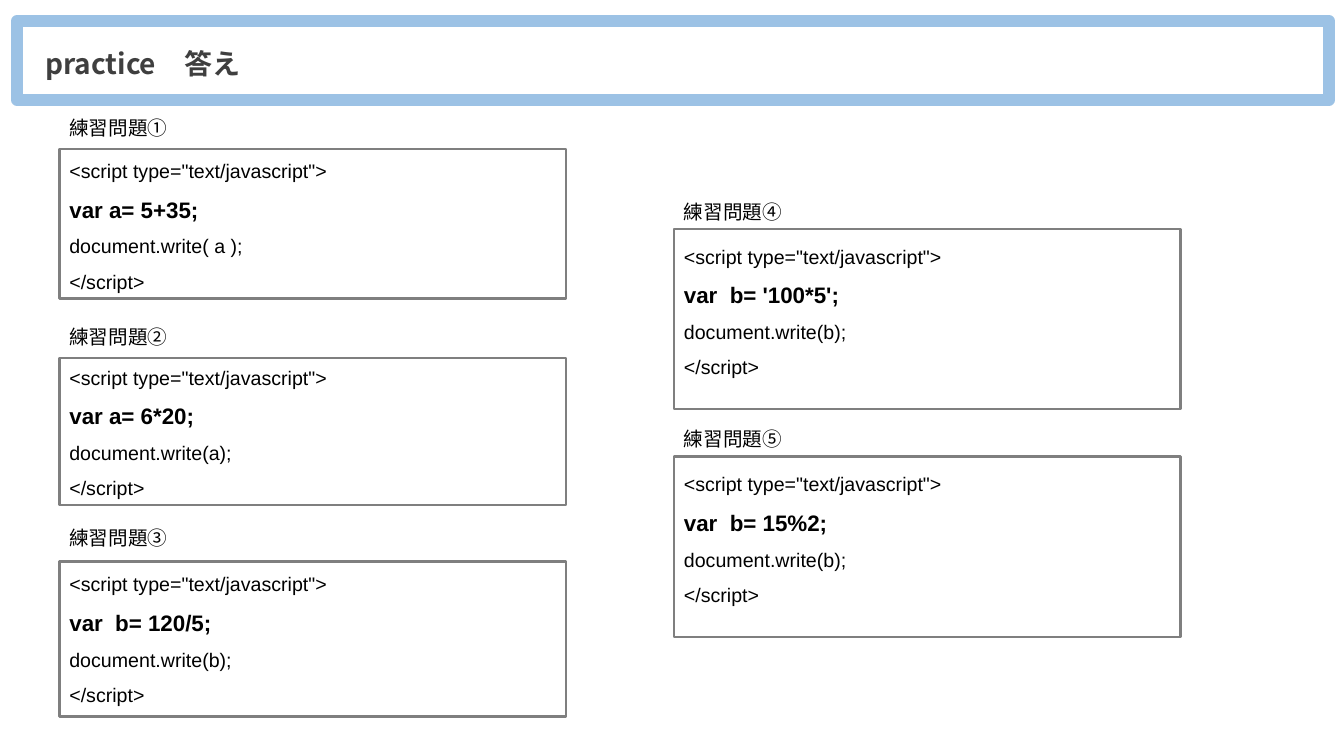
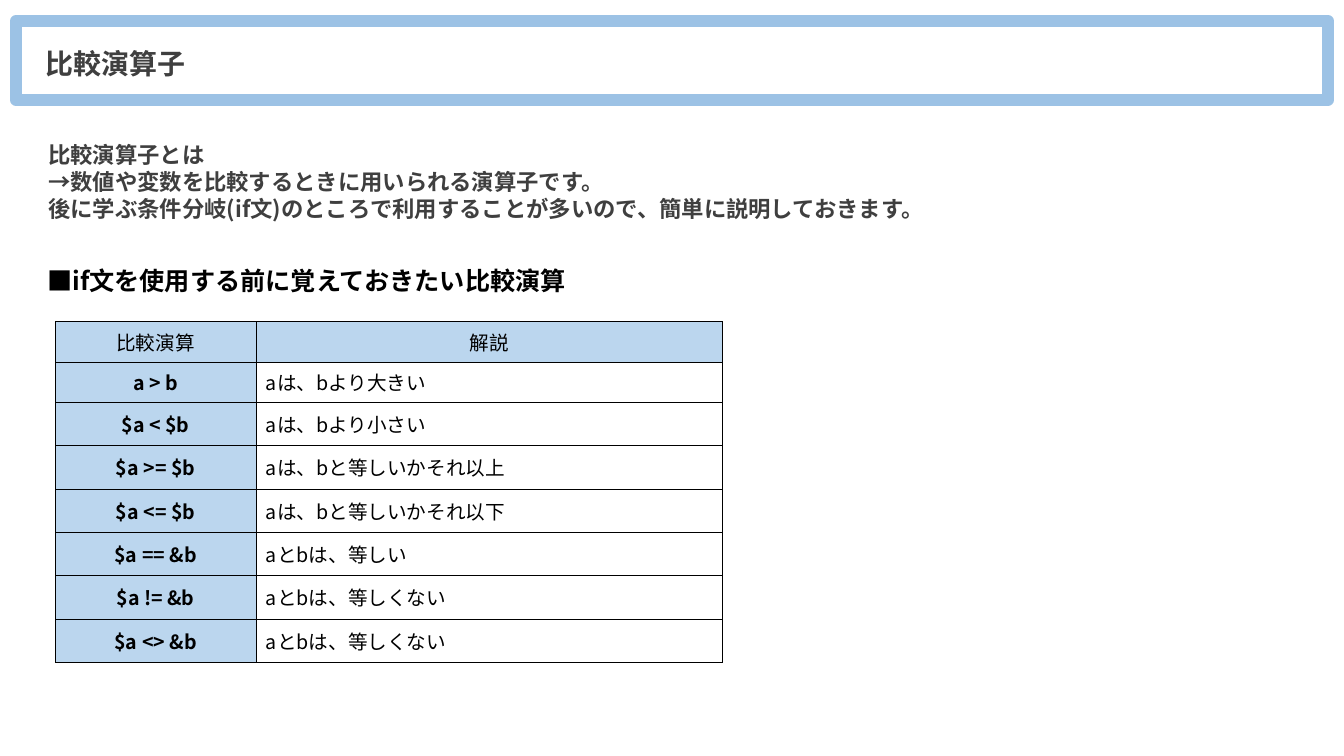
import pptx
import pptx.dml.color
import pptx.enum.shapes
import pptx.enum.text
import pptx.oxml.ns
import pptx.util
from dataclasses import dataclass
from lxml import etree

ALIGN = pptx.enum.text.PP_ALIGN
ANCHOR = pptx.enum.text.MSO_ANCHOR
FIT = pptx.enum.text.MSO_AUTO_SIZE
qn = pptx.oxml.ns.qn


@dataclass(frozen=True)
class Theme:
    ink: str = "000000"
    heading_ink: str = "3F3F3F"
    paper: str = "FFFFFF"
    band: str = "9CC2E5"
    code_frame: str = "7F7F7F"
    table_key: str = "BBD6EE"
    body_font: str = "Noto Sans CJK JP"
    code_font: str = "Arial"
    title_size: int = 20
    subhead_size: int = 18
    strong_size: int = 16
    text_size: int = 14
    band_width: float = 8.75
    frame_width: float = 1.75
    grid_width: float = 0.45


def px(length):
    """100 px to the inch."""
    return pptx.util.Emu(length * 9144)


def rgb(colour):
    return pptx.dml.color.RGBColor.from_string(colour)


class Deck:
    def __init__(self, theme):
        self.theme = theme
        self.prs = pptx.Presentation()
        self.prs.slide_width, self.prs.slide_height = px(1334), px(750)
        self.slide = None

    # Text helpers
    def run(self, paragraph, text, size, colour=None, bold=False, font=None):
        run = paragraph.add_run()
        run.text = text
        run.font.size = pptx.util.Pt(size)
        run.font.bold = bold
        run.font.color.rgb = rgb(colour or self.theme.ink)
        run.font.name = font or self.theme.body_font
        east_asian = etree.SubElement(run.font._element, qn("a:ea"))
        east_asian.set("typeface", run.font.name)

    def paragraphs(self, frame, lines, spacing=None, align=ALIGN.LEFT):
        """Each line is (text, size) plus optional run settings in a dict."""
        for index, (text, size, style) in enumerate(lines):
            paragraph = frame.add_paragraph() if index else frame.paragraphs[0]
            paragraph.alignment = align
            if spacing:
                paragraph.line_spacing = spacing
            self.run(paragraph, text, size, **style)

    # Elements
    def new_slide(self, title, band_left):
        theme = self.theme
        self.slide = self.prs.slides.add_slide(self.prs.slide_layouts[5])
        heading = self.slide.shapes.title
        heading.left, heading.top = px(35), px(34)
        heading.width, heading.height = px(1264), px(57)
        heading.fill.solid()
        heading.fill.fore_color.rgb = rgb(theme.paper)
        heading.text_frame.auto_size = FIT.NONE
        heading.text_frame.vertical_anchor = ANCHOR.MIDDLE
        self.paragraphs(heading.text_frame, [
            (title, theme.title_size, {"colour": theme.heading_ink, "bold": True})])
        self.outline(band_left, 21, 1302, 78, theme.band, theme.band_width)

    def outline(self, left, top, width, height, colour, weight):
        box = self.slide.shapes.add_shape(
            pptx.enum.shapes.MSO_SHAPE.RECTANGLE,
            px(left), px(top), px(width), px(height))
        box.shadow.inherit = False
        box.fill.background()
        box.line.color.rgb = rgb(colour)
        box.line.width = pptx.util.Pt(weight)

    def text(self, left, top, width, height, lines, spacing=None, grow=True):
        frame = self.slide.shapes.add_textbox(
            px(left), px(top), px(width), px(height)).text_frame
        frame.word_wrap = True
        frame.auto_size = FIT.SHAPE_TO_FIT_TEXT if grow else FIT.NONE
        frame.vertical_anchor = ANCHOR.TOP if grow else ANCHOR.MIDDLE
        self.paragraphs(frame, lines, spacing)

    def exercise(self, label, statement, output, left, label_top, code_top,
                 frame_top, frame_height):
        theme = self.theme
        plain = {"font": theme.code_font}
        code = [
            ('<script type="text/javascript">', theme.text_size, plain),
            (statement, theme.strong_size, {**plain, "bold": True}),
            (output, theme.text_size, plain),
            ("</script>", theme.text_size, plain),
        ]
        self.outline(left, frame_top, 503, frame_height,
                     theme.code_frame, theme.frame_width)
        self.text(left, label_top, 138, 34, [(label, theme.text_size, {})])
        self.text(left, code_top, 404, 155, code, spacing=1.5)

    def table(self, left, top, widths, heights, rows):
        table = self.slide.shapes.add_table(
            len(rows), len(widths), px(left), px(top),
            px(sum(widths)), px(sum(heights))).table
        table.first_row = table.horz_banding = False
        for column, width in zip(table.columns, widths):
            column.width = px(width)
        for row, height in zip(table.rows, heights):
            row.height = px(height)
        for r, row in enumerate(rows):
            for c, text in enumerate(row):
                is_key = r == 0 or c == 0
                self.cell(table.cell(r, c), text, is_key, bold=r > 0 and c == 0)

    def cell(self, cell, text, is_key, bold):
        theme = self.theme
        cell.vertical_anchor = ANCHOR.MIDDLE
        cell.fill.solid()
        cell.fill.fore_color.rgb = rgb(theme.table_key if is_key else theme.paper)
        self.paragraphs(cell.text_frame, [(text, theme.text_size, {"bold": bold})],
                        align=ALIGN.CENTER if is_key else ALIGN.LEFT)
        properties = cell._tc.get_or_add_tcPr()
        for index, side in enumerate(("lnL", "lnR", "lnT", "lnB")):
            border = etree.Element(qn("a:" + side))
            border.set("w", str(pptx.util.Pt(theme.grid_width)))
            fill = etree.SubElement(border, qn("a:solidFill"))
            etree.SubElement(fill, qn("a:srgbClr")).set("val", theme.ink)
            properties.insert(index, border)


# Label, statement, output, left, label top, code top, frame top, frame height
EXERCISES = [
    ("練習問題①", "var a= 5+35;", "document.write( a );", 59, 110, 141, 148, 148),
    ("練習問題②", "var a= 6*20;", "document.write(a);", 59, 317, 346, 355, 146),
    ("練習問題③", "var  b= 120/5;", "document.write(b);", 59, 517, 551, 557, 154),
    ("練習問題④", "var  b= '100*5';", "document.write(b);", 669, 193, 226, 227, 179),
    ("練習問題⑤", "var  b= 15%2;", "document.write(b);", 669, 419, 452, 453, 179),
]

INTRODUCTION = [
    "比較演算子とは",
    "→数値や変数を比較するときに用いられる演算子です。",
    "後に学ぶ条件分岐(if文)のところで利用することが多いので、簡単に説明しておきます。",
]

OPERATORS = [
    ("比較演算", "解説"),
    ("a > b", "aは、bより大きい"),
    ("$a < $b", "aは、bより小さい"),
    ("$a >= $b", "aは、bと等しいかそれ以上"),
    ("$a <= $b", "aは、bと等しいかそれ以下"),
    ("$a == &b", "aとbは、等しい"),
    ("$a != &b", "aとbは、等しくない"),
    ("$a <> &b", "aとbは、等しくない"),
]


def main():
    theme = Theme()
    deck = Deck(theme)

    # Answers to the exercises
    deck.new_slide("practice　答え", band_left=17)
    for exercise in EXERCISES:
        deck.exercise(*exercise)

    # Comparison operators
    deck.new_slide("比較演算子", band_left=16)
    intro_style = {"colour": theme.heading_ink, "bold": True}
    deck.text(38, 120, 1189, 120,
              [(line, theme.strong_size, intro_style) for line in INTRODUCTION],
              grow=False)
    deck.table(55, 319, [199, 463], [40] * 2 + [43] * 6, OPERATORS)
    deck.text(37, 243, 1204, 55,
              [("■if文を使用する前に覚えておきたい比較演算", theme.subhead_size,
                {"bold": True})], spacing=1.5)

    deck.prs.save("out.pptx")


if __name__ == "__main__":
    main()
